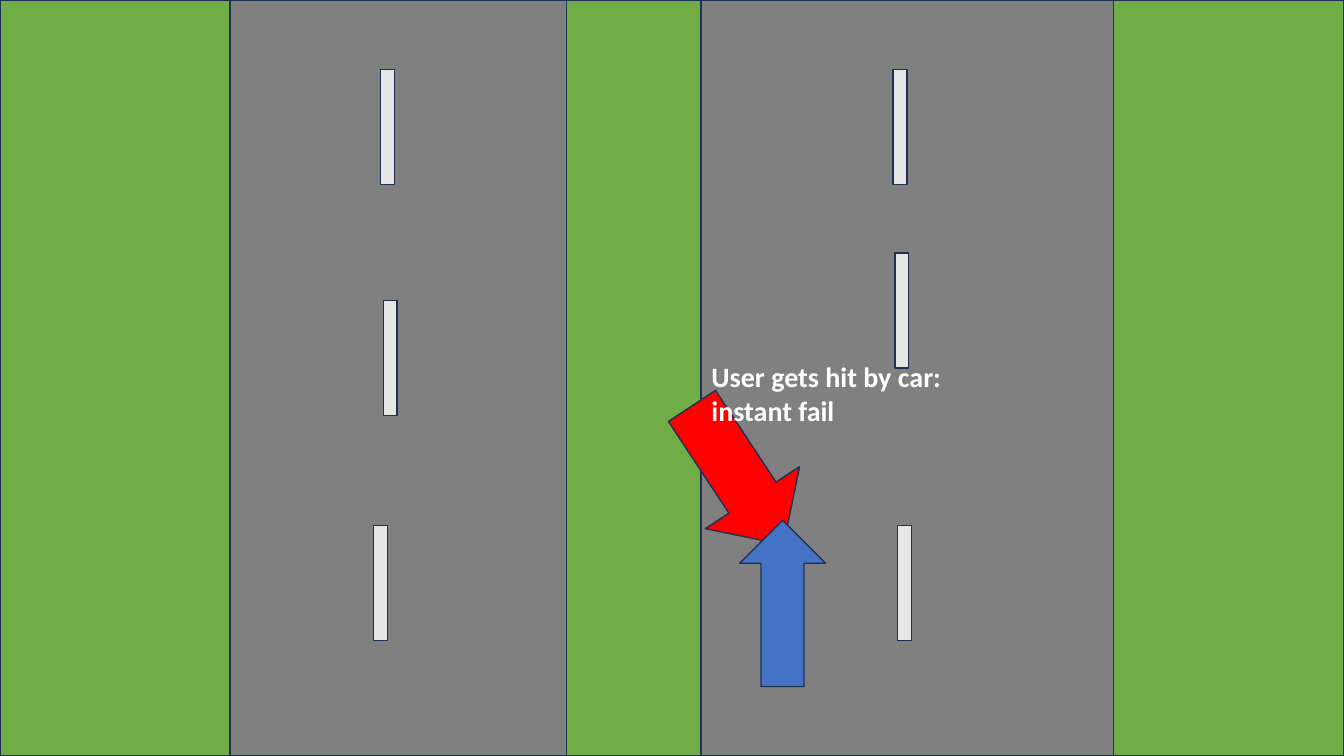
from pptx import Presentation
from pptx.dml.color import RGBColor
from pptx.enum.shapes import MSO_SHAPE as Shape
from pptx.enum.text import MSO_AUTO_SIZE as AutoSize
from pptx.util import Pt

COLOURS = {
    "road": "808080",
    "grass": "70AD47",
    "marking": "E7E6E6",
    "car": "FF0000",
    "user": "4472C4",
    "outline": "1E3256",
    "text": "FFFFFF",
}
PAGE_WIDTH, PAGE_HEIGHT = 960, 540

deck = Presentation()
deck.slide_width, deck.slide_height = Pt(PAGE_WIDTH), Pt(PAGE_HEIGHT)
page = deck.slides.add_slide(deck.slide_layouts[6])


def add_outlined(kind, left, top, width, height, colour, rotation=0):
    shape = page.shapes.add_shape(kind, Pt(left), Pt(top), Pt(width), Pt(height))
    shape.rotation = rotation
    shape.shadow.inherit = False
    shape.fill.solid()
    shape.fill.fore_color.rgb = RGBColor.from_string(COLOURS[colour])
    shape.line.color.rgb = RGBColor.from_string(COLOURS["outline"])
    shape.line.width = Pt(1)


# Roads first, so that the verges and the median overlap their edges
strips = [
    ("road", 162, 242.6),
    ("road", 500.9, 294.7),
    ("grass", 0, 164.4),
    ("grass", 795.6, 164.4),
    ("grass", 404.6, 96),
]
for colour, left, width in strips:
    add_outlined(Shape.RECTANGLE, left, 0, width, PAGE_HEIGHT, colour)

add_outlined(Shape.DOWN_ARROW, 486.7, 280.1, 80.6, 118.8, "car", 326.6)

lane_markings = [
    (638, 49.5), (639.2, 180.8), (641.2, 375.3),
    (271.9, 49.5), (273.8, 214.8), (266.9, 375.3),
]
for left, top in lane_markings:
    add_outlined(Shape.RECTANGLE, left, top, 9.8, 82.2, "marking")

box = page.shapes.add_textbox(Pt(501.1), Pt(253.4), Pt(201.6), Pt(55.4))
frame = box.text_frame
frame.word_wrap = True
frame.auto_size = AutoSize.SHAPE_TO_FIT_TEXT
span = frame.paragraphs[0].add_run()
span.text = "User gets hit by car: instant fail"
span.font.name = "Calibri"
span.font.size = Pt(20)
span.font.bold = True
span.font.color.rgb = RGBColor.from_string(COLOURS["text"])

add_outlined(Shape.UP_ARROW, 528.3, 371.6, 61.4, 118.8, "user")

deck.save("out.pptx")
